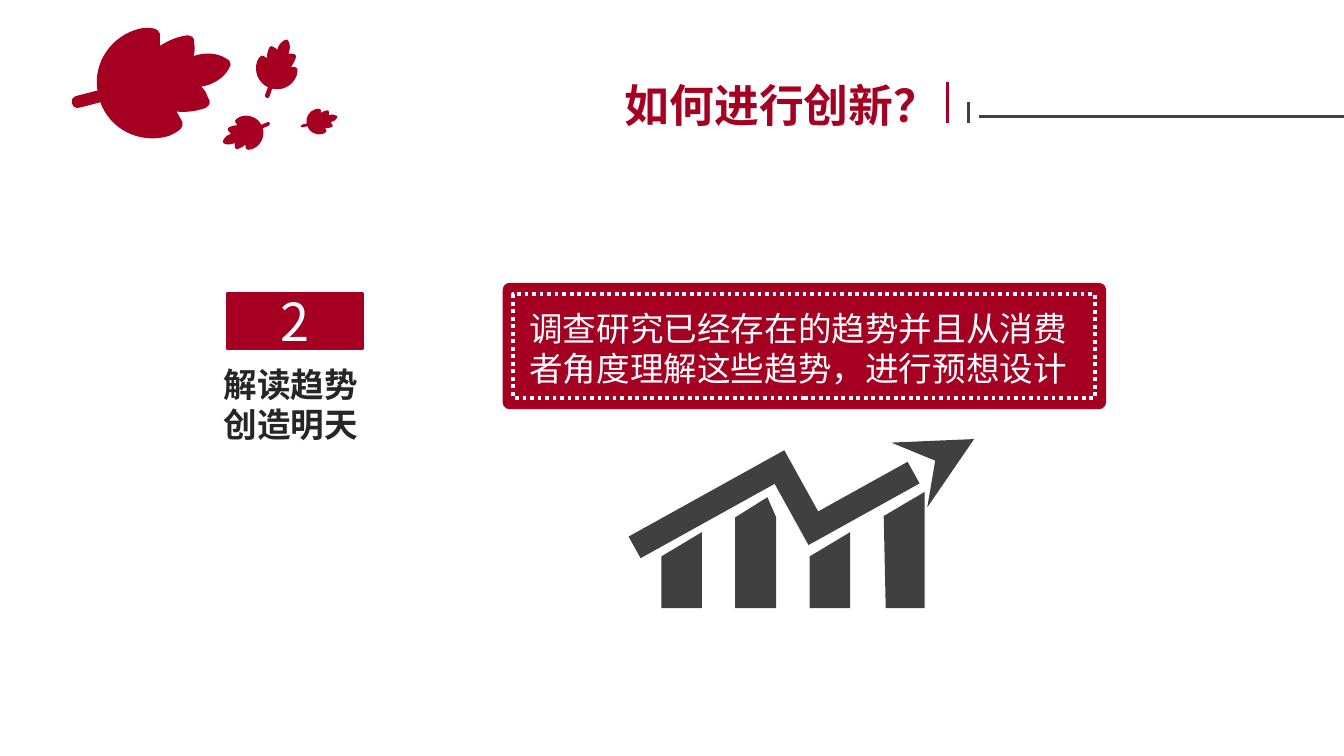
"""Build the innovation slide on a grid of tenth-inch cells."""
from math import sqrt

from lxml import etree
from pptx import Presentation
from pptx import util as u
from pptx.dml.color import RGBColor
from pptx.enum import dml, shapes, text
from pptx.oxml.ns import qn

COLS, ROWS = 100, 56.25
COLORS = {"red": "A50021", "dark": "404040", "ink": "262626", "white": "FFFFFF"}
SC, JP = "Noto Sans CJK SC", "Noto Sans CJK JP"

HALF_LEAF = [
    (-.68, 0),
    (-.68, .03), (-.66, .05), (-.63, .05),
    (-.57, .05), (-.51, .05), (-.45, .05),
    (-.43, .28), (-.23, .46), (.01, .46),
    (.04, .46), (.08, .45), (.11, .44),
    (.15, .43), (.18, .39), (.16, .35),
    (.15, .32), (.15, .30), (.14, .28),
    (.20, .30), (.28, .32), (.38, .31),
    (.42, .30), (.44, .27), (.42, .23),
    (.42, .20), (.41, .16), (.39, .13),
    (.48, .14), (.59, .11), (.65, .04),
    (.67, .03), (.67, .01), (.67, 0),
]
LEAVES = [(20.6, 5.1, 3.4, 334.4), (23.75, 9.05, 2.1, 29.9),
          (18.3, 9.9, 2.8, 202.8), (11.3, 6.2, 9, 30.7)]
BAR_FOOT = 45.25
BARS = [(49.22, [(0, 41.4), (3, 39.6)], 0),
        (54.7, [(0, 38.5), (2.4, 37), (3.05, 38.5)], 0),
        (60.25, [(0, 41.4), (3, 39.6)], 0),
        (65.75, [(0, 38.4), (3.05, 36.6)], .15)]


def cells(*values):
    """Convert grid cells to lengths."""
    return [u.Inches(v / 10) for v in values]


def rgb(name):
    """Look up a named colour."""
    return RGBColor.from_string(COLORS[name])


def paint(sp, fill, line=None, width=2):
    """Give a shape a flat fill and an optional outline."""
    sp.shadow.inherit = False
    sp.fill.solid()
    sp.fill.fore_color.rgb = rgb(fill)
    if line:
        sp.line.color.rgb = rgb(line)
        sp.line.width = u.Pt(width)
    else:
        sp.line.fill.background()


def write(tf, words, size, color, font=SC, bold=False):
    """Write one styled paragraph."""
    tf.word_wrap = True
    p = tf.paragraphs[0]
    p.text = words
    p.font.size, p.font.bold, p.font.name = u.Pt(size), bold, font
    p.font.color.rgb = rgb(color)
    etree.SubElement(p.font._element, qn("a:ea")).set("typeface", font)
    return p


def add_text(parent, box, words, size, color, **style):
    """Add a wrapping text box."""
    tf = parent.add_textbox(*cells(*box)).text_frame
    write(tf, words, size, color, **style)
    tf.auto_size = text.MSO_AUTO_SIZE.SHAPE_TO_FIT_TEXT


def add_block(parent, kind, box, fill, line=None):
    """Add a filled preset shape."""
    sp = parent.add_shape(kind, *cells(*box))
    paint(sp, fill, line)
    return sp


def add_line(parent, kind, ends, color, width):
    """Add a shadowless connector."""
    line = parent.add_connector(kind, *cells(*ends))
    line.line.color.rgb = rgb(color)
    line.line.width = u.Pt(width)
    etree.SubElement(line._element.spPr, qn("a:effectLst"))
    return line


def add_outline(parent, points, fill):
    """Add a closed freeform through grid points."""
    start, *rest = [cells(*pt) for pt in points]
    builder = parent.build_freeform(*start)
    builder.add_line_segments(rest, close=True)
    sp = builder.convert_to_shape()
    paint(sp, fill)
    return sp


def bend(sp):
    """Turn every three segments of a freeform into one cubic curve."""
    segments = list(sp._element.iter(qn("a:lnTo")))
    for i in range(0, len(segments), 3):
        curve = etree.Element(qn("a:cubicBezTo"))
        segments[i].addprevious(curve)
        for segment in segments[i:i + 3]:
            curve.append(segment[0])
            segment.getparent().remove(segment)


def add_leaf(parent, x, y, size, turn):
    """Add a leaf drawn along the diagonal, then turned."""
    k = size / sqrt(2)
    outline = HALF_LEAF + [(a, -b) for a, b in HALF_LEAF[-2::-1]]
    sp = add_outline(parent, [(x + k * (a + b), y + k * (b - a)) for a, b in outline], "red")
    bend(sp)
    sp.rotation = turn


def add_bar(parent, left, top, foot):
    """Add a chart bar with a sloping top."""
    right = left + top[-1][0]
    points = [(left + x, y) for x, y in top]
    add_outline(parent, points + [(right, BAR_FOOT), (left + foot, BAR_FOOT)], "dark")


def add_trend(parent):
    """Add the thick zigzag arrow."""
    line = add_line(parent, shapes.MSO_CONNECTOR.ELBOW, (46.85, 34.1, 72.85, 39.3), "dark", 13.25)
    pr = line._element.spPr
    pr.find(qn("a:xfrm")).set("rot", str(331 * 60000))
    geom = pr.find(qn("a:prstGeom"))
    guides = geom.find(qn("a:avLst"))
    if guides is None:
        guides = etree.SubElement(geom, qn("a:avLst"))
    etree.SubElement(guides, qn("a:gd"), name="adj1", fmla="val 47400")
    ln = pr.find(qn("a:ln"))
    etree.SubElement(ln, qn("a:miter"), lim="800000")
    etree.SubElement(ln, qn("a:tailEnd"), type="stealth")


def add_callout(parent):
    """Add the grouped statement with its dotted frame."""
    group = parent.add_group_shape().shapes
    card = add_block(group, shapes.MSO_SHAPE.ROUNDED_RECTANGLE, (37.4, 21.05, 44.9, 9.4), "red")
    card.adjustments[0] = .055
    frame = add_block(group, shapes.MSO_SHAPE.RECTANGLE, (38.2, 21.9, 43.3, 7.7), "red", "white")
    frame.line.dash_style = dml.MSO_LINE.ROUND_DOT
    add_text(group, (38.4, 22.4, 42.2, 7.1),
             "调查研究已经存在的趋势并且从消费者角度理解这些趋势，进行预想设计", 18, "white")


def add_number(parent):
    """Add the numbered tag."""
    tf = add_block(parent, shapes.MSO_SHAPE.RECTANGLE, (16.94, 21.84, 10, 4.1), "red", "red").text_frame
    tf.vertical_anchor = text.MSO_ANCHOR.MIDDLE
    write(tf, "2", 28, "white", font=JP).alignment = text.PP_ALIGN.CENTER


def main():
    """Build and save the slide."""
    prs = Presentation()
    prs.slide_width, prs.slide_height = cells(COLS, ROWS)
    s = prs.slides.add_slide(prs.slide_layouts[6]).shapes
    add_text(s, (45.5, 5.3, 25.7, 5), "如何进行创新？", 24, "red", bold=True)
    for leaf in LEAVES:
        add_leaf(s, *leaf)
    for ends, color in (((72.85, 8.7, COLS, 8.7), "dark"), ((72.05, 7.6, 72.05, 9.14), "dark"),
                        ((70.5, 6.1, 70.5, 9.14), "red")):
        add_line(s, shapes.MSO_CONNECTOR.STRAIGHT, ends, color, 1.5)
    add_text(s, (15.65, 26.55, 13.8, 7.1), "解读趋势创造明天", 18, "ink", bold=True)
    add_number(s)
    add_callout(s)
    for bar in BARS:
        add_bar(s, *bar)
    add_trend(s)
    prs.save("out.pptx")


if __name__ == "__main__":
    main()
